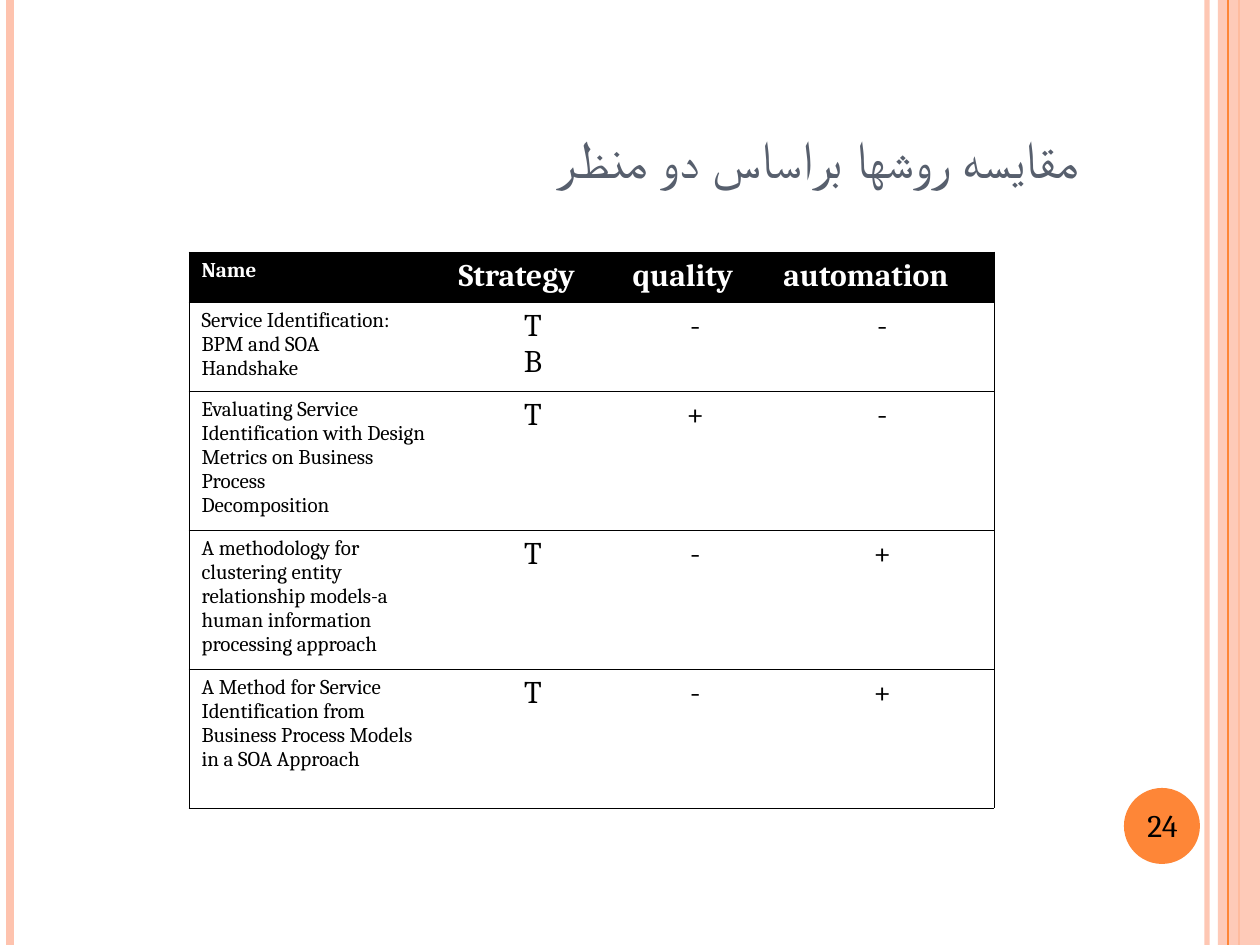
from lxml import etree
from pptx import Presentation
from pptx import util as u
from pptx.dml.color import RGBColor
from pptx.enum import shapes, text
from pptx.oxml import ns

SCALE = 914400 / 126
FONT = "Cambria"
BLACK, WHITE = "000000", "FFFFFF"
PEACH, ORANGE, SLATE = "FEC3AE", "FE8637", "575F6D"
PLAIN = "{2D5ABB26-0587-4C30-8999-92F81FD0307C}"

COLS = [257, 174, 151, 223]
ROWS = [50, 89, 139, 139, 139]
CELLS = [
    ["Name", "Strategy", "quality", "automation"],
    ["Service Identification: BPM and SOA\nHandshake", "T\nB", "-", "-"],
    ["Evaluating Service\nIdentification with Design Metrics on Business "
     "Process\nDecomposition", "T", "+", "-"],
    ["A methodology for clustering entity\nrelationship models-a human "
     "information processing approach", "T", "-", "+"],
    ["A Method for Service Identification from\nBusiness Process Models "
     "in a SOA Approach", "T", "-", "+"],
]


def px(*vals):
    return [u.Emu(round(v * SCALE)) for v in vals]


def color(code):
    return RGBColor.from_string(code)


def sub(node, tag, **attrs):
    return etree.SubElement(node, ns.qn(tag), attrs)


def fade(fill, pct):
    """Make a solid fill see-through, with pct percent left opaque."""
    tint = fill._xPr.find(".//" + ns.qn("a:srgbClr"))
    sub(tint, "a:alpha", val=str(pct * 1000))


def style(par, size, code, align=None, bold=False):
    par.alignment = align
    look = {"name": FONT, "size": u.Pt(size), "bold": bold}
    for key, val in look.items():
        setattr(par.font, key, val)
    par.font.color.rgb = color(code)


def add_title(slide, words, box):
    title = slide.shapes.title
    for key, val in zip(("left", "top", "width", "height"), px(*box)):
        setattr(title, key, val)
    frame = title.text_frame
    frame.text = words
    frame.vertical_anchor = text.MSO_ANCHOR.BOTTOM
    par = frame.paragraphs[0]
    style(par, 30, SLATE, text.PP_ALIGN.RIGHT)
    par._p.get_or_add_pPr().set("rtl", "1")


def add_rule(slide, x, width, code, pct=100):
    """Draw an upright line over the full slide height."""
    rule = slide.shapes.add_connector(
        shapes.MSO_CONNECTOR.STRAIGHT, *px(x, 0, x, 945))
    rule.line.width = u.Pt(width)
    rule.line.color.rgb = color(code)
    if pct < 100:
        fade(rule.line.fill, pct)
    sub(rule._element.spPr, "a:effectLst")


def add_block(slide, kind, box, code, pct=100):
    block = slide.shapes.add_shape(kind, *px(*box))
    block.shadow.inherit = False
    block.fill.solid()
    block.fill.fore_color.rgb = color(code)
    block.line.fill.background()
    if pct < 100:
        fade(block.fill, pct)


def add_label(slide, words, box, size):
    frame = slide.shapes.add_textbox(*px(*box)).text_frame
    frame.word_wrap = True
    frame.text = words
    style(frame.paragraphs[0], size, BLACK)


def add_edges(cell, sides):
    props = cell._tc.get_or_add_tcPr()
    for side in sides:
        line = sub(props, "a:ln" + side, w=str(u.Pt(0.45)))
        sub(sub(line, "a:solidFill"), "a:srgbClr", val=BLACK)


def fill_cell(cell, words, row, col):
    head, first = row == 0, col == 0
    edges = {0: "LTB", len(COLS) - 1: "RTB"}
    add_edges(cell, edges.get(col, "TB"))
    if head:
        cell.fill.solid()
        cell.fill.fore_color.rgb = color(BLACK)
    else:
        cell.fill.background()
    cell.text = words
    left = head or first
    align = text.PP_ALIGN.LEFT if left else text.PP_ALIGN.CENTER
    for par in cell.text_frame.paragraphs:
        style(par, 12 if first else 18, WHITE if head else BLACK, align, head)


def add_grid(slide, x, y):
    frame = slide.shapes.add_table(
        len(ROWS), len(COLS), *px(x, y, sum(COLS), sum(ROWS)))
    grid = frame.table
    grid._tbl.tblPr.find(ns.qn("a:tableStyleId")).text = PLAIN
    for part, size in zip(grid.columns, px(*COLS)):
        part.width = size
    for part, size in zip(grid.rows, px(*ROWS)):
        part.height = size
    for row, line in enumerate(CELLS):
        for col, words in enumerate(line):
            fill_cell(grid.cell(row, col), words, row, col)


def main():
    deck = Presentation()
    deck.slide_width, deck.slide_height = px(1260, 945)
    slide = deck.slides.add_slide(deck.slide_layouts[5])
    add_rule(slide, 1207, 3, PEACH, 93)
    add_rule(slide, 10, 4.5, PEACH)
    add_rule(slide, 1239, 1.5, ORANGE)
    add_block(slide, shapes.MSO_SHAPE.RECTANGLE, (1218, 0, 42, 945), PEACH, 87)
    add_rule(slide, 1228, 0.75, ORANGE)
    add_block(slide, shapes.MSO_SHAPE.OVAL, (1124, 788, 76, 76), ORANGE)
    add_title(slide, "مقایسه روشها براساس دو منظر", (63, 38, 1029, 157))
    add_grid(slide, 189, 252)
    add_label(slide, "24", (1135, 800, 62, 50), 18)
    deck.save("out.pptx")


if __name__ == "__main__":
    main()
